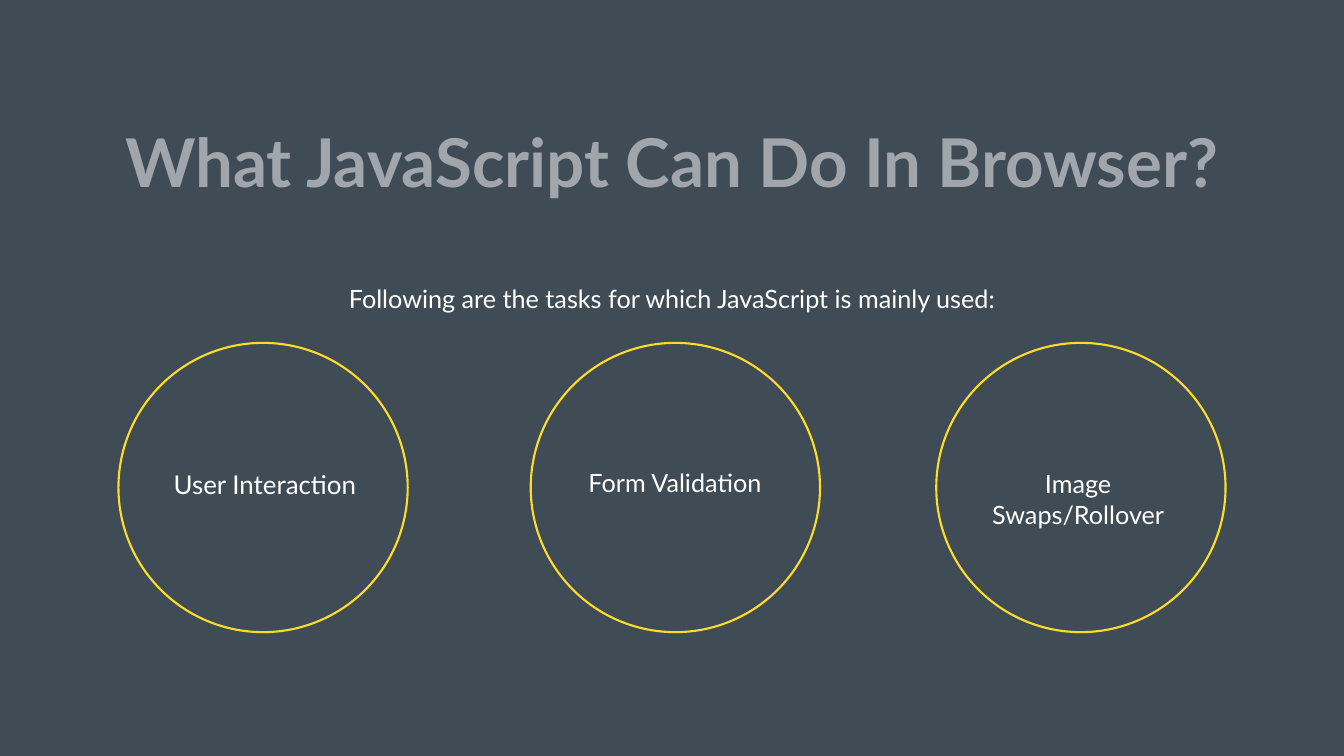
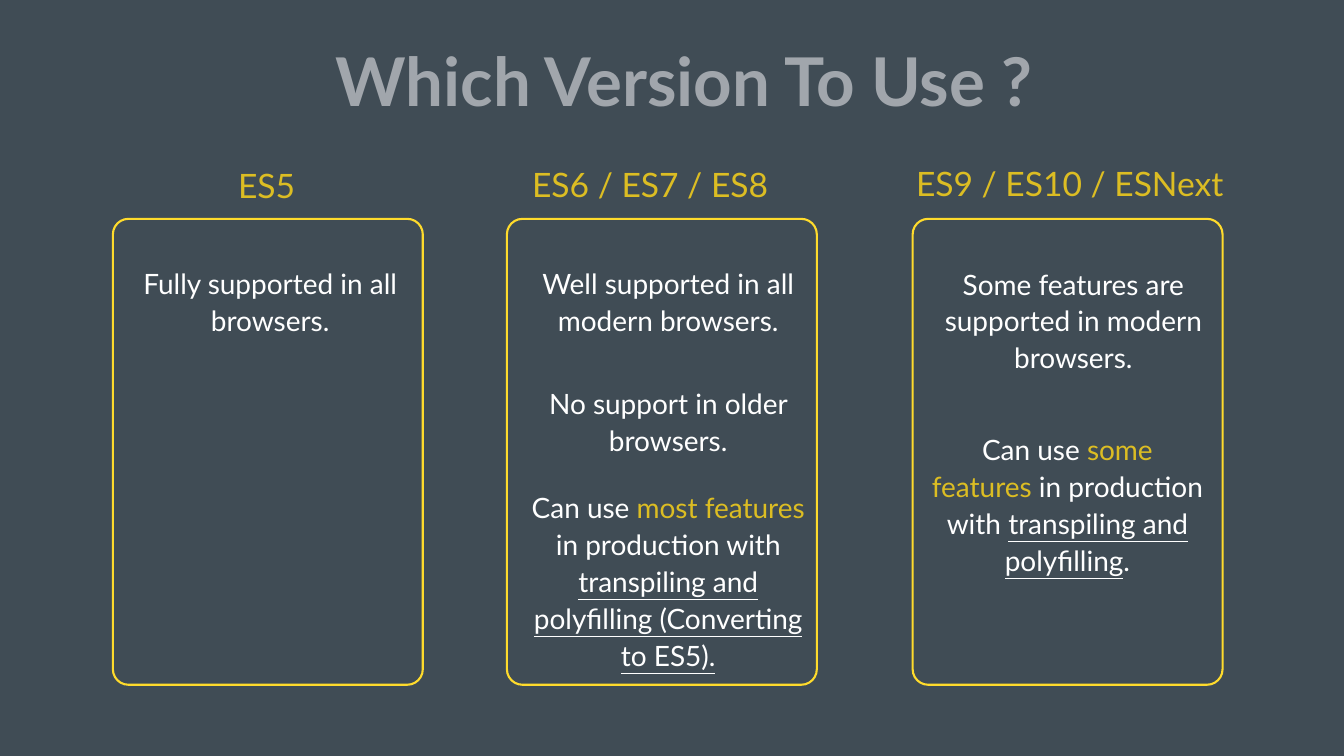
import pptx
import pptx.util
import pptx.dml.color
import pptx.enum.shapes
import pptx.enum.text

Cm, Pt = pptx.util.Cm, pptx.util.Pt
SHAPE = pptx.enum.shapes.MSO_SHAPE
ANCHOR = pptx.enum.text.MSO_ANCHOR

# Shared style
FONT = "Lato"
BACK, GREY, WHITE, YELLOW, GOLD = "404C55", "A1A6AC", "FFFFFF", "FFDB2C", "DCBD23"
SLIDE_W, SLIDE_H = 67.74, 38.1

# Slide 1 content
USES_TITLE = "What JavaScript Can Do In Browser?"
USES_INTRO = "Following are the tasks for which JavaScript is mainly used:"
CIRCLE_TOP, CIRCLE_SIZE, LABEL_W = 17.28, 14.58, 11.4
USES = [  # text, circle left, label left, label top, size, line spacing
    ("User Interaction", 5.97, 7.65, 23.47, 37, 1.1),
    ("Form Validation", 26.75, 28.32, 23.55, 36, 1),
    ("Image Swaps/Rollover", 47.19, 48.64, 23.62, 36, 1),
]

# Slide 2 content: a run is (text, colour, underlined)
VERSIONS_TITLE = "Which Version To Use ?"
CARD_TOP, CARD_W, CARD_H = 11.03, 15.62, 23.48
HEAD_W, HEAD_H, NOTE_W, LINE_H = 20.83, 2.31, 14.38, 1.88
VERSIONS = [
    {"head": "ES5", "left": 5.69, "center": 13.44, "head_top": 8.18,
     "notes": [(6.43, 13.13, 2, [("Fully supported in all browsers.", WHITE, False)])]},
    {"head": "ES6 / ES7 / ES8", "left": 25.55, "center": 32.77, "head_top": 8.13,
     "notes": [
         (26.49, 13.13, 2, [("Well supported in all modern browsers.", WHITE, False)]),
         (26.49, 19.18, 2, [("No support in older browsers.", WHITE, False)]),
         (26.49, 24.41, 5, [
             ("Can use ", WHITE, False), ("most features ", GOLD, False),
             ("in production with ", WHITE, False),
             ("transpiling and polyfilling (Converting to ES5).", WHITE, True)])]},
    {"head": "ES9 / ES10 / ESNext", "left": 46.0, "center": 53.92, "head_top": 8.08,
     "notes": [
         (46.91, 13.16, 3, [("Some features are supported in modern browsers.", WHITE, False)]),
         (46.61, 21.49, 4, [
             ("Can use ", WHITE, False), ("some features", GOLD, False),
             (" in production with ", WHITE, False),
             ("transpiling and polyfilling", WHITE, True), (".", WHITE, False)])]},
]


def rgb(value):
    return pptx.dml.color.RGBColor.from_string(value)


def write(sp, text, size=36, color=WHITE, bold=False, spacing=1,
          anchor=ANCHOR.TOP, inset=(0.25, 0.13)):
    """Fill a shape with one centred paragraph, from a string or a list of runs."""
    tf = sp.text_frame
    tf.word_wrap = True
    tf.auto_size = pptx.enum.text.MSO_AUTO_SIZE.NONE
    tf.vertical_anchor = anchor
    tf.margin_left = tf.margin_right = Cm(inset[0])
    tf.margin_top = tf.margin_bottom = Cm(inset[1])
    p = tf.paragraphs[0]
    p.alignment = pptx.enum.text.PP_ALIGN.CENTER
    p.line_spacing = spacing
    runs = [(text, color, False)] if isinstance(text, str) else text
    for words, run_color, underlined in runs:
        r = p.add_run()
        r.text = words
        r.font.name, r.font.size, r.font.bold = FONT, Pt(size), bold
        r.font.color.rgb = rgb(run_color)
        if underlined:
            r.font.underline = True


def add_text(s, box, text, **style):
    write(s.shapes.add_textbox(*map(Cm, box)), text, **style)


def add_outline(s, kind, box):
    sp = s.shapes.add_shape(kind, *map(Cm, box))
    sp.shadow.inherit = False
    sp.fill.background()
    sp.line.color.rgb = rgb(YELLOW)
    sp.line.width = Pt(3)
    return sp


def add_slide(prs, title, box, **style):
    s = prs.slides.add_slide(prs.slide_layouts[5])
    sp = s.shapes.title
    sp.left, sp.top, sp.width, sp.height = map(Cm, box)
    write(sp, title, size=96, color=GREY, bold=True, anchor=ANCHOR.MIDDLE, **style)
    return s


def build_uses(prs):
    s = add_slide(prs, USES_TITLE, (5.97, 3.78, 55.78, 8.61), inset=(0.2, 0.2))
    add_text(s, (8.76, 14.07, 50.22, 1.96), USES_INTRO,
             anchor=ANCHOR.MIDDLE, inset=(0.2, 0.2))
    for text, left, label_left, label_top, size, spacing in USES:
        add_outline(s, SHAPE.OVAL, (left, CIRCLE_TOP, CIRCLE_SIZE, CIRCLE_SIZE))
        add_text(s, (label_left, label_top, LABEL_W, 3.07), text,
                 size=size, spacing=spacing, inset=(0, 0))


def build_versions(prs):
    s = add_slide(prs, VERSIONS_TITLE, (2.31, 2.74, 64.34, 3.28),
                  spacing=0.8, inset=(0, 0))
    for version in VERSIONS:
        card = add_outline(s, SHAPE.ROUNDED_RECTANGLE,
                           (version["left"], CARD_TOP, CARD_W, CARD_H))
        card.adjustments[0] = 0.05
        add_text(s, (version["center"] - HEAD_W / 2, version["head_top"], HEAD_W, HEAD_H),
                 version["head"], size=48, color=GOLD)
        for left, top, lines, runs in version["notes"]:
            add_text(s, (left, top, NOTE_W, lines * LINE_H + 0.25), runs,
                     size=40, spacing=1.1)


def main():
    prs = pptx.Presentation()
    prs.slide_width, prs.slide_height = Cm(SLIDE_W), Cm(SLIDE_H)
    fill = prs.slide_master.background.fill
    fill.solid()
    fill.fore_color.rgb = rgb(BACK)
    build_uses(prs)
    build_versions(prs)
    prs.save("out.pptx")


if __name__ == "__main__":
    main()
